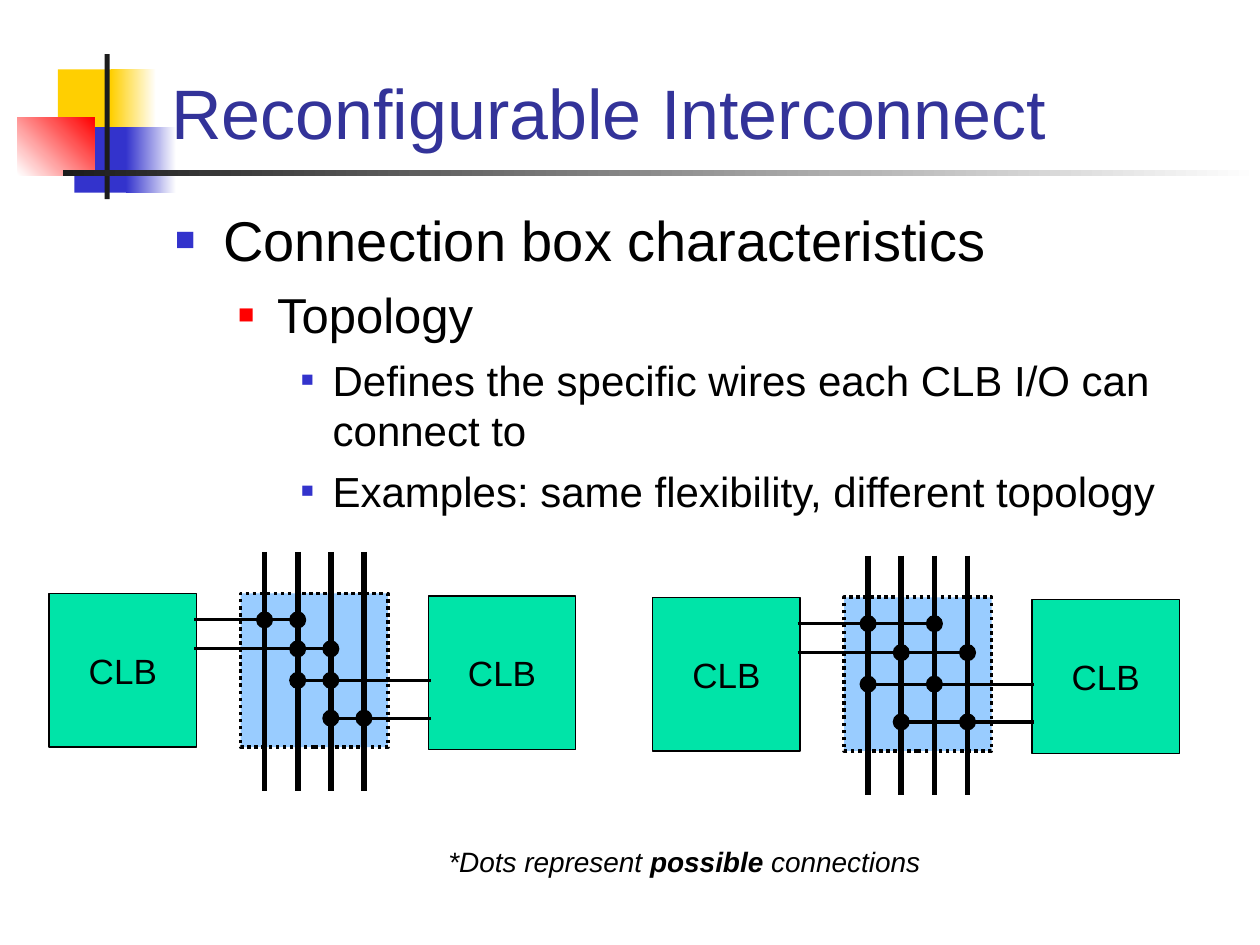
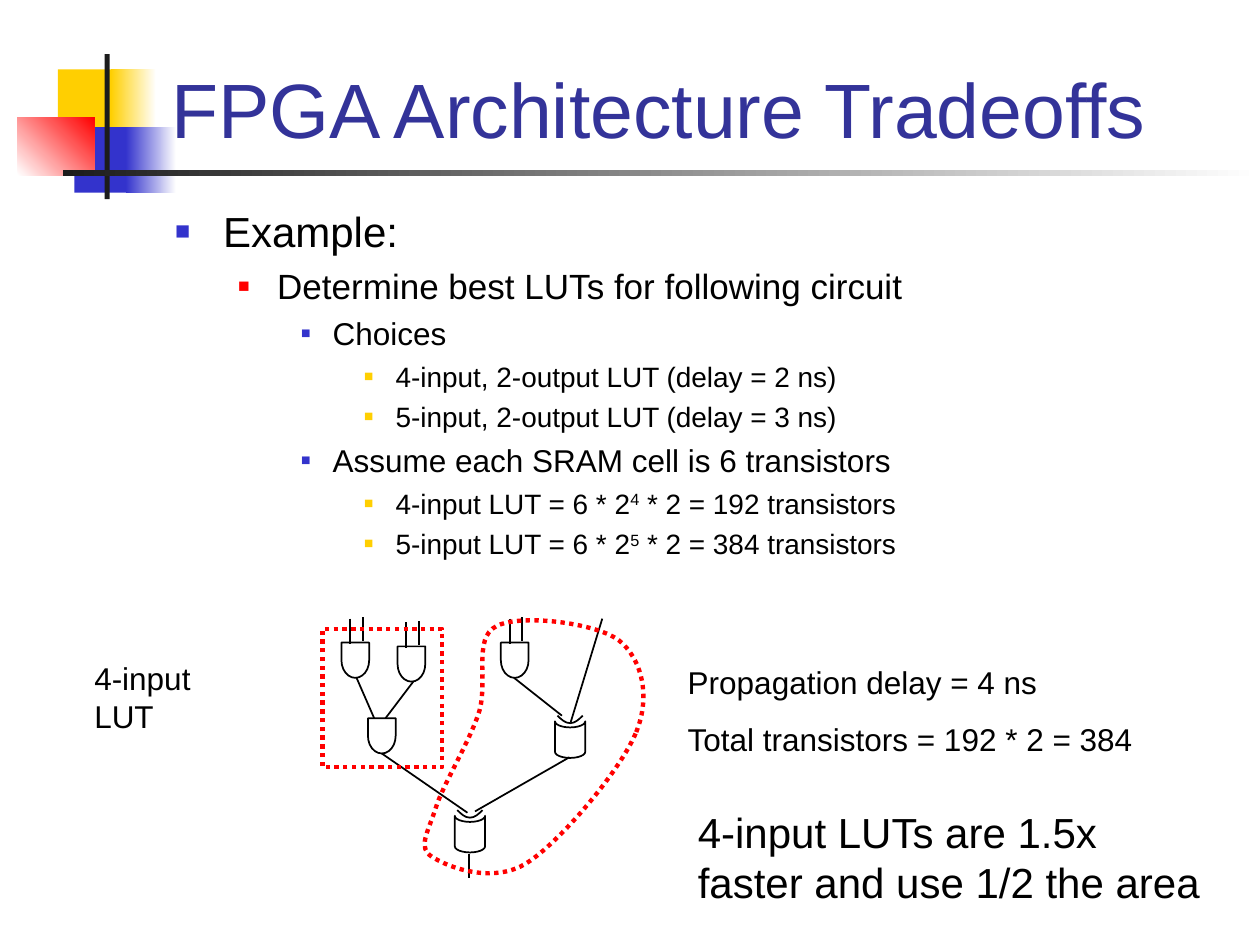
from lxml import etree
from pptx import Presentation
from pptx.dml.color import RGBColor
from pptx.enum.dml import MSO_LINE
from pptx.enum.shapes import MSO_CONNECTOR, MSO_SHAPE
from pptx.enum.text import MSO_ANCHOR, MSO_AUTO_SIZE, PP_ALIGN
from pptx.oxml.ns import qn
from pptx.util import Inches, Pt

RECT, DOT = MSO_SHAPE.RECTANGLE, MSO_SHAPE.OVAL
AND_GATE, XOR_GATE = MSO_SHAPE.FLOWCHART_DELAY, MSO_SHAPE.FLOWCHART_STORED_DATA
STRAIGHT, DOTTED = MSO_CONNECTOR.STRAIGHT, MSO_LINE.ROUND_DOT
LEFT, CENTER = PP_ALIGN.LEFT, PP_ALIGN.CENTER

FONT = "Arial"
COLORS = {
    "title": "333399", "text": "000000", "line": "000000", "white": "FFFFFF",
    "yellow": "FFCF01", "blue": "3333CC", "red": "FF0000", "rule": "1C1C1C",
    "clb": "00E4A8", "box": "99CCFF",
}
# Per list level: text indent, hanging indent, bullet colour, bullet size in %
LEVELS = [(0.38, 0.38, "blue", 60), (0.81, 0.31, "red", 55),
          (1.25, 0.25, "blue", 50), (1.75, 0.25, "yellow", 55)]

CLB_SIZE = (1.17, 1.22)
BOX_X, RIGHT_CLB_X = 1.52, 3.01
TRACK_X, TRACK_STEP, TRACK_COUNT = 1.71, 0.263, 4
WIRE_ROWS = [0.21, 0.44, 0.69, 0.99]
DOT_SIZE = 0.125
GATE_SIZE = (0.28, 0.22)


def rgb(name):
    return RGBColor.from_string(COLORS[name])


def place(shape, left, top, width, height):
    shape.left, shape.top = Inches(left), Inches(top)
    shape.width, shape.height = Inches(width), Inches(height)


def style_outline(shape, color, width, dotted=False):
    shape.line.color.rgb = rgb(color)
    shape.line.width = Pt(width)
    if dotted:
        shape.line.dash_style = DOTTED


def add_block(slide, kind, frame, fill=None, outline=None, width=0.75, dotted=False):
    block = slide.shapes.add_shape(kind, *map(Inches, frame))
    block.shadow.inherit = False
    if fill:
        block.fill.solid()
        block.fill.fore_color.rgb = rgb(fill)
    else:
        block.fill.background()
    if outline:
        style_outline(block, outline, width, dotted)
    else:
        block.line.fill.background()
    return block


def add_fade(slide, frame, start, end, angle=0):
    fade = add_block(slide, RECT, frame)
    fade.fill.gradient()
    fade.fill.gradient_angle = angle
    for stop, color in zip(fade.fill.gradient_stops, (start, end)):
        stop.color.rgb = rgb(color)
    return fade


def add_line(slide, x1, y1, x2, y2, width=1):
    line = slide.shapes.add_connector(STRAIGHT, *map(Inches, (x1, y1, x2, y2)))
    style_outline(line, "line", width)
    etree.SubElement(line.element.spPr, qn("a:effectLst"))


def add_curve(slide, start, beziers, color, width, closed=False, dotted=False):
    """Draw joined cubic Bezier curves, each given by two handles and an end."""
    builder = slide.shapes.build_freeform(*map(Inches, start))
    builder.add_line_segments(
        [tuple(map(Inches, point)) for bezier in beziers for point in bezier], close=closed)
    curve = builder.convert_to_shape()
    segments = list(curve.element.iter(qn("a:lnTo")))
    for first in range(0, len(segments), 3):
        handles_and_end = segments[first:first + 3]
        bend = etree.Element(qn("a:cubicBezTo"))
        handles_and_end[0].addprevious(bend)
        for segment in handles_and_end:
            bend.append(segment[0])
            segment.getparent().remove(segment)
    curve.shadow.inherit = False
    curve.fill.background()
    style_outline(curve, color, width, dotted)


def format_runs(paragraph, size, color="text", align=LEFT):
    paragraph.alignment = align
    for run in paragraph.runs:
        run.font.name, run.font.size = FONT, Pt(size)
        run.font.color.rgb = rgb(color)


def add_text(slide, frame, lines, size, gap=0):
    """Add a wrapped text box and return its paragraphs."""
    box = slide.shapes.add_textbox(*map(Inches, frame)).text_frame
    box.word_wrap = True
    box.text = "\n".join(lines)
    for number, paragraph in enumerate(box.paragraphs):
        paragraph.space_before = Pt(gap if number else 0)
        format_runs(paragraph, size)
    return box.paragraphs


def set_bullet(paragraph, level):
    indent, hanging, color, percent = LEVELS[level]
    paragraph.level = level
    props = paragraph._p.get_or_add_pPr()
    props.set("marL", str(Inches(indent)))
    props.set("indent", str(-Inches(hanging)))
    bullet_color = etree.SubElement(props, qn("a:buClr"))
    etree.SubElement(bullet_color, qn("a:srgbClr"), val=COLORS[color])
    etree.SubElement(props, qn("a:buSzPct"), val=str(percent * 1000))
    etree.SubElement(props, qn("a:buFont"), typeface=FONT)
    etree.SubElement(props, qn("a:buChar"), char="■")


def fill_outline(frame, entries, sizes):
    """Write (level, text) entries; text between ^ marks is superscript."""
    for number, (level, text) in enumerate(entries):
        paragraph = frame.add_paragraph() if number else frame.paragraphs[0]
        set_bullet(paragraph, level)
        for part, piece in enumerate(text.split("^")):
            run = paragraph.add_run()
            run.text = piece
            if part % 2:
                run._r.get_or_add_rPr().set("baseline", "30000")
        paragraph.space_before = Pt(sizes[level] / 4 if number else 0)
        format_runs(paragraph, sizes[level])


def add_content_slide(deck, heading, heading_size, entries, sizes):
    slide = deck.slides.add_slide(deck.slide_layouts[1])
    title, body = slide.placeholders
    place(title, 1.26, 0.02, 8.52, 1.25)
    place(body, 1.29, 1.58, 8.5, 5.12)
    for holder in (title, body):
        holder.text_frame.auto_size = MSO_AUTO_SIZE.NONE
        holder.text_frame.word_wrap = True
    title.text_frame.vertical_anchor = MSO_ANCHOR.BOTTOM
    title.text_frame.text = heading
    format_runs(title.text_frame.paragraphs[0], heading_size, "title")
    fill_outline(body.text_frame, entries, sizes)
    return slide


def decorate_master(deck, slide):
    """Build the corner motif and title rule, then move them to the slide master."""
    motif = [
        add_block(slide, RECT, (0.46, 0.55, 0.48, 0.52), "yellow"),
        add_fade(slide, (0.88, 0.55, 0.36, 0.52), "yellow", "white"),
        add_block(slide, RECT, (0.59, 1.01, 0.46, 0.52), "blue"),
        add_fade(slide, (1, 1.01, 0.4, 0.52), "blue", "white"),
        add_fade(slide, (0.14, 0.93, 0.61, 0.46), "white", "red", 45),
        add_block(slide, RECT, (0.83, 0.43, 0.04, 1.15), "rule"),
        add_fade(slide, (0.5, 1.35, 9.5, 0.05), "rule", "white"),
    ]
    master_tree = deck.slide_master.shapes.element
    for number, part in enumerate(motif):
        part.element.nvSpPr.cNvPr.id = 100 + number
        master_tree.insert(2 + number, part.element)


def add_clb(slide, left, top):
    clb = add_block(slide, RECT, (left, top, *CLB_SIZE), "clb", "line")
    clb.text_frame.word_wrap = False
    clb.text_frame.vertical_anchor = MSO_ANCHOR.MIDDLE
    clb.text_frame.text = "CLB"
    format_runs(clb.text_frame.paragraphs[0], 20, align=CENTER)


def add_connection_box(slide, left, top, topology):
    """Draw two CLBs around a connection box; topology gives each wire's two tracks."""
    add_clb(slide, left, top)
    add_clb(slide, left + RIGHT_CLB_X, top + 0.02)
    add_block(slide, RECT, (left + BOX_X, top, *CLB_SIZE), "box", "line", 2, dotted=True)
    tracks = [left + TRACK_X + TRACK_STEP * n for n in range(TRACK_COUNT)]
    for x in tracks:
        add_line(slide, x, top - 0.33, x, top + 1.57, 3.25)
    for number, (row, (first, last)) in enumerate(zip(WIRE_ROWS, topology)):
        y = top + row
        if number < 2:
            add_line(slide, left + CLB_SIZE[0] - 0.02, y, tracks[last], y, 1.75)
        else:
            add_line(slide, tracks[first], y, left + RIGHT_CLB_X + 0.02, y, 1.75)
        for x in (tracks[first], tracks[last]):
            corner = (x - DOT_SIZE / 2, y - DOT_SIZE / 2)
            add_block(slide, DOT, (*corner, DOT_SIZE, DOT_SIZE), "line", "line")


def add_and_gate(slide, x, y, pins=True):
    width, height = GATE_SIZE
    gate = add_block(slide, AND_GATE, (x - width / 2, y - height / 2, width, height),
                     "white", "line", 1)
    gate.rotation = 90
    if pins:
        add_line(slide, x - 0.04, y - 0.33, x - 0.04, y - 0.13)
        add_line(slide, x + 0.06, y - 0.34, x + 0.06, y - 0.15)


def add_xor_gate(slide, x, y):
    gate = add_block(slide, XOR_GATE, (x - 0.145, y - 0.12, 0.29, 0.24), "white", "line", 1)
    gate.rotation = 270
    gate.element.spPr.get_or_add_xfrm().set("flipV", "1")
    rim, dip = y - 0.19, y - 0.13
    add_curve(slide, (x + 0.1, rim), [
        ((x + 0.07, y - 0.16), (x + 0.04, dip), (x, dip)),
        ((x - 0.04, dip), (x - 0.07, y - 0.16), (x - 0.1, rim)),
    ], "line", 1)


def add_circuit(slide):
    for x, y in ((2.82, 5.24), (3.265, 5.27), (4.085, 5.24)):
        add_and_gate(slide, x, y)
    add_and_gate(slide, 3.03, 5.84, pins=False)
    for x, y in ((4.525, 5.87), (3.73, 6.62)):
        add_xor_gate(slide, x, y)
    for wire in ((2.83, 5.38, 2.97, 5.7), (3.28, 5.41, 3.06, 5.7),
                 (4.08, 5.38, 4.46, 5.68), (4.78, 4.91, 4.53, 5.73),
                 (4.52, 6.01, 3.77, 6.44), (3.03, 5.98, 3.71, 6.45),
                 (3.72, 6.78, 3.72, 6.97)):
        add_line(slide, *wire)
    add_block(slide, RECT, (2.56, 4.99, 0.95, 1.1), None, "red", 2.5, dotted=True)
    add_curve(slide, (5.05, 5.81), [
        ((5.17, 5.52), (5.09, 5.22), (4.91, 5.08)),
        ((4.72, 4.94), (4.12, 4.87), (3.94, 4.97)),
        ((3.75, 5.06), (3.88, 5.42), (3.8, 5.66)),
        ((3.72, 5.9), (3.52, 6.22), (3.46, 6.41)),
        ((3.4, 6.6), (3.31, 6.73), (3.43, 6.8)),
        ((3.55, 6.88), (3.91, 7.02), (4.18, 6.85)),
        ((4.44, 6.69), (4.93, 6.11), (5.05, 5.81)),
    ], "red", 2.5, closed=True, dotted=True)


def add_interconnect_slide(deck):
    slide = add_content_slide(deck, "Reconfigurable Interconnect", 40, [
        (0, "Connection box characteristics"),
        (1, "Topology"),
        (2, "Defines the specific wires each CLB I/O can connect to"),
        (2, "Examples: same flexibility, different topology"),
    ], sizes=(32, 28, 24))
    decorate_master(deck, slide)
    add_connection_box(slide, 0.39, 4.71, [(0, 1), (1, 2), (1, 2), (2, 3)])
    add_connection_box(slide, 5.18, 4.74, [(0, 2), (1, 3), (0, 2), (1, 3)])
    note = add_text(slide, (3.46, 6.65, 5.31, 0.37), ["*Dots represent "], 16)[0]
    for piece in ("possible", " connections"):
        note.add_run().text = piece
    format_runs(note, 16)
    for run in note.runs:
        run.font.italic = True
    note.runs[1].font.bold = True


def add_tradeoffs_slide(deck):
    slide = add_content_slide(deck, "FPGA Architecture Tradeoffs", 44, [
        (0, "Example:"),
        (1, "Determine best LUTs for following circuit"),
        (2, "Choices"),
        (3, "4-input, 2-output LUT (delay = 2 ns)"),
        (3, "5-input, 2-output LUT (delay = 3 ns)"),
        (2, "Assume each SRAM cell is 6 transistors"),
        (3, "4-input LUT = 6 * 2^4^ * 2 = 192 transistors"),
        (3, "5-input LUT = 6 * 2^5^ * 2 = 384 transistors"),
    ], sizes=(24, 20, 18, 16))
    add_text(slide, (0.65, 5.18, 1.4, 0.7), ["4-input LUT"], 18)
    add_text(slide, (5.36, 5.21, 4.35, 0.86),
             ["Propagation delay = 4 ns", "Total transistors = 192 * 2 = 384"], 18, gap=11.2)
    add_text(slide, (5.44, 6.35, 4.24, 0.9),
             ["4-input LUTs are 1.5x faster and use 1/2 the area"], 24)
    add_circuit(slide)


def main():
    deck = Presentation()
    deck.slide_width, deck.slide_height = Inches(10), Inches(7.5)
    add_interconnect_slide(deck)
    add_tradeoffs_slide(deck)
    deck.save("out.pptx")


if __name__ == "__main__":
    main()
